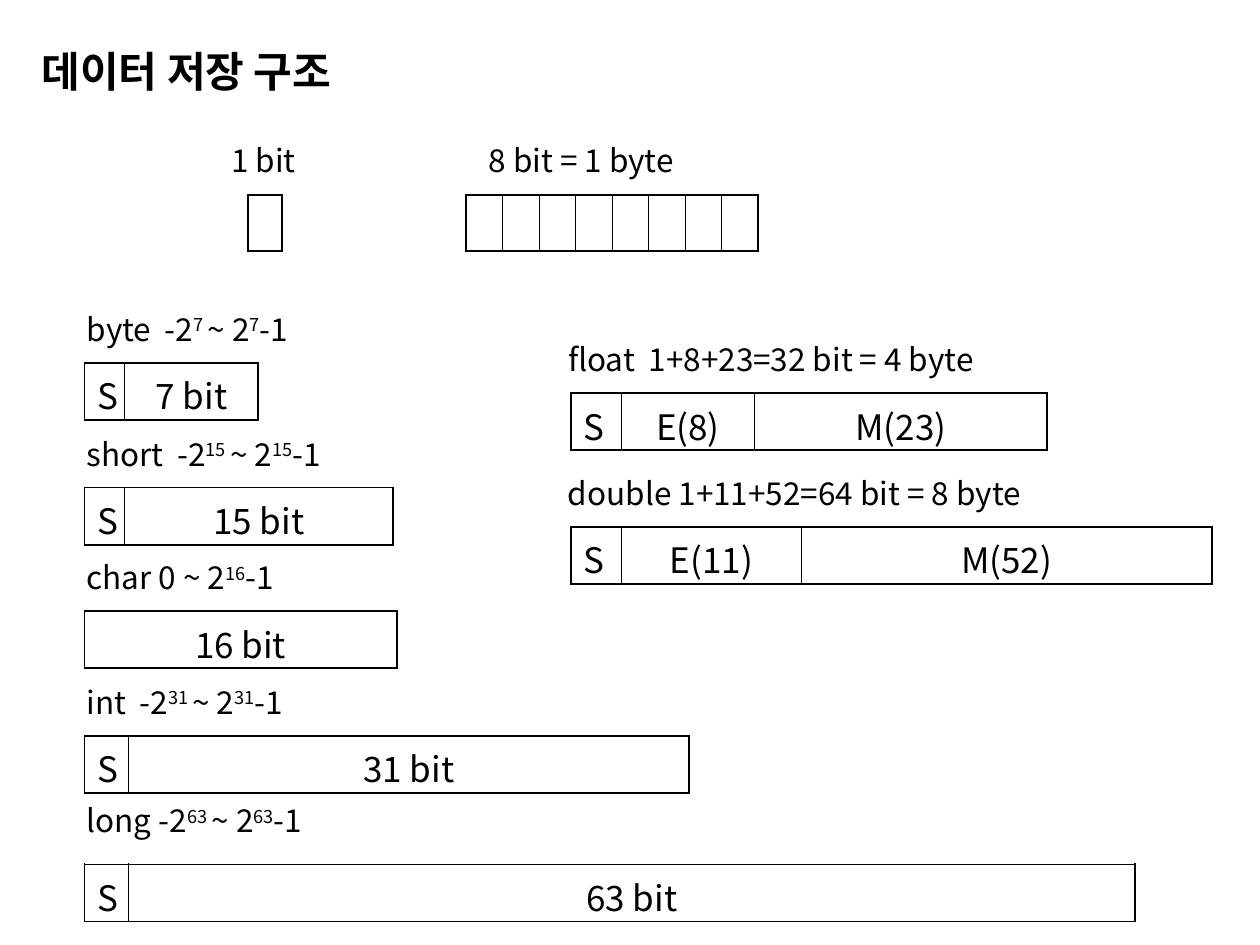
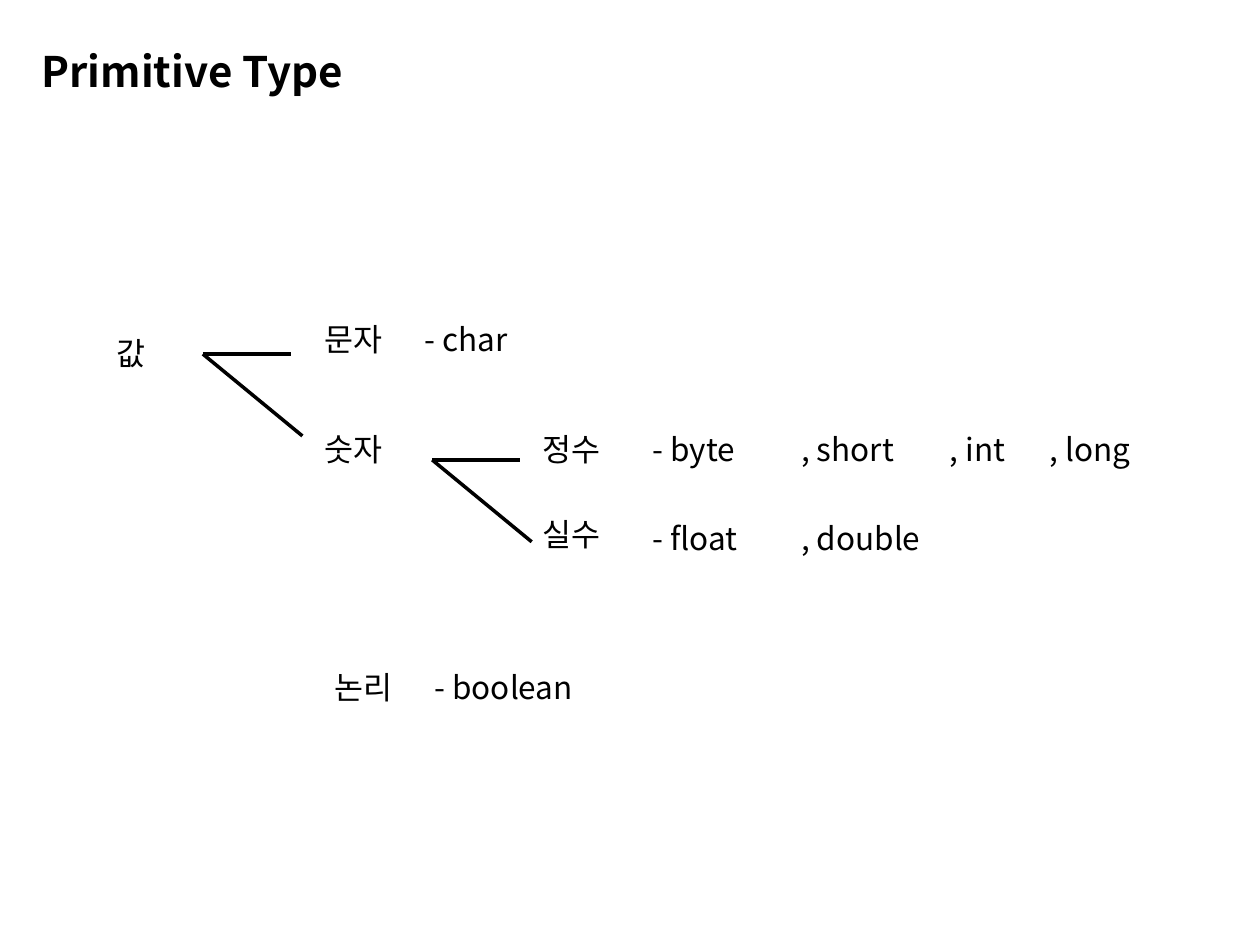
"""Two slides on how primitive types are stored and grouped."""
from dataclasses import dataclass

from lxml import etree
from pptx import Presentation
from pptx import util as u
from pptx.dml.color import RGBColor
from pptx.enum import shapes, text
from pptx.oxml.ns import qn

INK = RGBColor(0, 0, 0)
FACE = "Noto Sans CJK KR"
LEFT, MID = text.PP_ALIGN.LEFT, text.PP_ALIGN.CENTER
THICK, THIN = 1.08, 0.45
ROW = 0.44
BIT = 0.29


@dataclass
class Label:
    """Line of text; ^ switches superscript, tab is the stop of its gap."""
    words: str
    x: float
    y: float
    width: float
    tab: float = 0
    align: text.PP_ALIGN = LEFT


@dataclass
class Bar:
    """Row of named bit fields, each with its width."""
    x: float
    y: float
    fields: list[tuple[str, float]]


@dataclass
class Fork:
    """Point from which two branches leave."""
    x: float
    y: float


LABELS = [
    Label("1 bit", 1.38, 1.07, 1.42, align=MID),
    Label("8 bit = 1 byte", 3.78, 1.07, 2.24),
    Label("byte\t-2^7 ^~ 2^7^-1", 0.59, 2.41, 2.8, 0.62),
    Label("short\t-2^15 ^~ 2^15^-1", 0.59, 3.4, 2.84, 0.72),
    Label("char 0 ~ 2^16^-1", 0.59, 4.38, 2.56),
    Label("int\t-2^31 ^~ 2^31^-1", 0.59, 5.37, 2.84, 0.42),
    Label("long -2^63 ^~ 2^63^-1", 0.59, 6.31, 2.84),
    Label("float\t1+8+23=32 bit = 4 byte", 4.41, 2.65, 4.49, 0.64),
    Label("double 1+11+52=64 bit = 8 byte", 4.41, 3.71, 4.76),
]
BARS = [
    Bar(1.97, 1.55, [("", 0.27)]),
    Bar(3.7, 1.55, [("", BIT)] * 8),
    Bar(0.67, 2.88, [("S", 0.32), ("7 bit", 1.06)]),
    Bar(0.67, 3.87, [("S", 0.32), ("15 bit", 2.13)]),
    Bar(0.67, 4.85, [("16 bit", 2.48)]),
    Bar(0.67, 5.84, [("S", 0.35), ("31 bit", 4.45)]),
    Bar(0.67, 6.86, [("S", 0.35), ("63 bit", 7.99)]),
    Bar(4.53, 3.12, [("S", 0.4), ("E(8)", 1.06), ("M(23)", 2.32)]),
    Bar(4.53, 4.18, [("S", 0.4), ("E(11)", 1.43), ("M(52)", 3.26)]),
]
NODES = [
    Label("값", 0.83, 2.6, 0.63),
    Label("문자", 2.48, 2.49, 0.94),
    Label("- char", 3.27, 2.49, 1.34),
    Label("숫자", 2.48, 3.36, 0.94),
    Label("정수", 4.21, 3.36, 0.94),
    Label("- byte", 5.08, 3.36, 1.34),
    Label(", short", 6.26, 3.36, 1.57),
    Label(", int", 7.44, 3.36, 1.02),
    Label(", long", 8.23, 3.36, 1.18),
    Label("실수", 4.21, 4.04, 0.94),
    Label("- float", 5.08, 4.07, 1.34),
    Label(", double", 6.26, 4.07, 1.57),
    Label("논리", 2.56, 5.25, 0.94),
    Label("- boolean", 3.35, 5.25, 1.97),
]
FORKS = [Fork(1.61, 2.81), Fork(3.43, 3.65)]


def style(para, size: float, align: text.PP_ALIGN = LEFT, bold: bool = False) -> None:
    """Set the shared font and the given size on a paragraph."""
    para.alignment = align
    font = para.font
    font.size, font.bold, font.name = u.Pt(size), bold, FACE
    font.color.rgb = INK
    base = para._p.pPr.find(qn("a:defRPr"))
    base.find(qn("a:latin")).addnext(base.makeelement(qn("a:ea"), {"typeface": FACE}))


def start(deck, name: str):
    """Add a slide with its title."""
    slide = deck.slides.add_slide(deck.slide_layouts[5])
    title = slide.shapes.title
    title.left, title.top = u.Inches(0.33), u.Inches(0.33)
    title.width, title.height = u.Inches(9.32), u.Inches(0.49)
    frame = title.text_frame
    frame.text = name
    frame.auto_size = text.MSO_AUTO_SIZE.NONE
    frame.vertical_anchor = text.MSO_ANCHOR.BOTTOM
    frame.margin_left = frame.margin_right = 0
    para = frame.paragraphs[0]
    para.line_spacing = 0.9
    style(para, 24, bold=True)
    return slide


def write(slide, label: Label) -> None:
    """Draw a label."""
    box = slide.shapes.add_textbox(u.Inches(label.x), u.Inches(label.y),
                                   u.Inches(label.width), u.Inches(0.4))
    frame = box.text_frame
    frame.word_wrap = True
    frame.auto_size = text.MSO_AUTO_SIZE.SHAPE_TO_FIT_TEXT
    frame.vertical_anchor = text.MSO_ANCHOR.MIDDLE
    para = frame.paragraphs[0]
    if label.tab:
        stops = etree.SubElement(para._p.get_or_add_pPr(), qn("a:tabLst"))
        etree.SubElement(stops, qn("a:tab"), pos=str(u.Inches(label.tab)), algn="l")
    for rank, words in enumerate(label.words.split("^")):
        run = para.add_run()
        run.text = words
        if rank % 2:
            run._r.get_or_add_rPr().set("baseline", "30000")
    style(para, 18, label.align)


def edge(cell, side: str, width: float) -> None:
    """Draw one border of a cell."""
    line = etree.SubElement(cell._tc.get_or_add_tcPr(), qn(f"a:ln{side}"),
                            w=str(u.Pt(width)))
    fill = etree.SubElement(line, qn("a:solidFill"))
    etree.SubElement(fill, qn("a:srgbClr"), val=str(INK))


def draw(slide, bar: Bar) -> None:
    """Draw a bar as a table of one row."""
    count = len(bar.fields)
    total = sum(width for _, width in bar.fields)
    grid = slide.shapes.add_table(1, count, u.Inches(bar.x), u.Inches(bar.y),
                                  u.Inches(total), u.Inches(ROW)).table
    grid.first_row = grid.horz_banding = False
    for rank, (name, width) in enumerate(bar.fields):
        grid.columns[rank].width = u.Inches(width)
        cell = grid.cell(0, rank)
        cell.margin_bottom = 0
        edge(cell, "L", THIN if rank else THICK)
        edge(cell, "R", THIN if rank < count - 1 else THICK)
        edge(cell, "T", THICK)
        edge(cell, "B", THICK)
        cell.fill.background()
        if name:
            cell.text = name
            style(cell.text_frame.paragraphs[0], 20, LEFT if name == "S" else MID)


def split(slide, fork: Fork) -> None:
    """Draw the level and the falling branch of a fork."""
    for across, down in ((0.7, 0), (0.79, 0.65)):
        line = slide.shapes.add_connector(
            shapes.MSO_CONNECTOR.STRAIGHT, u.Inches(fork.x), u.Inches(fork.y),
            u.Inches(fork.x + across), u.Inches(fork.y + down))
        line.line.width = u.Pt(2)
        line.line.color.rgb = INK
        etree.SubElement(line._element.spPr, qn("a:effectLst"))


def main() -> None:
    """Build and save both slides."""
    deck = Presentation()
    deck.slide_width, deck.slide_height = u.Inches(10), u.Inches(7.5)
    store = start(deck, "데이터 저장 구조")
    for bar in BARS:
        draw(store, bar)
    for label in LABELS:
        write(store, label)
    tree = start(deck, "Primitive Type")
    for fork in FORKS:
        split(tree, fork)
    for node in NODES:
        write(tree, node)
    deck.save("out.pptx")


if __name__ == "__main__":
    main()
